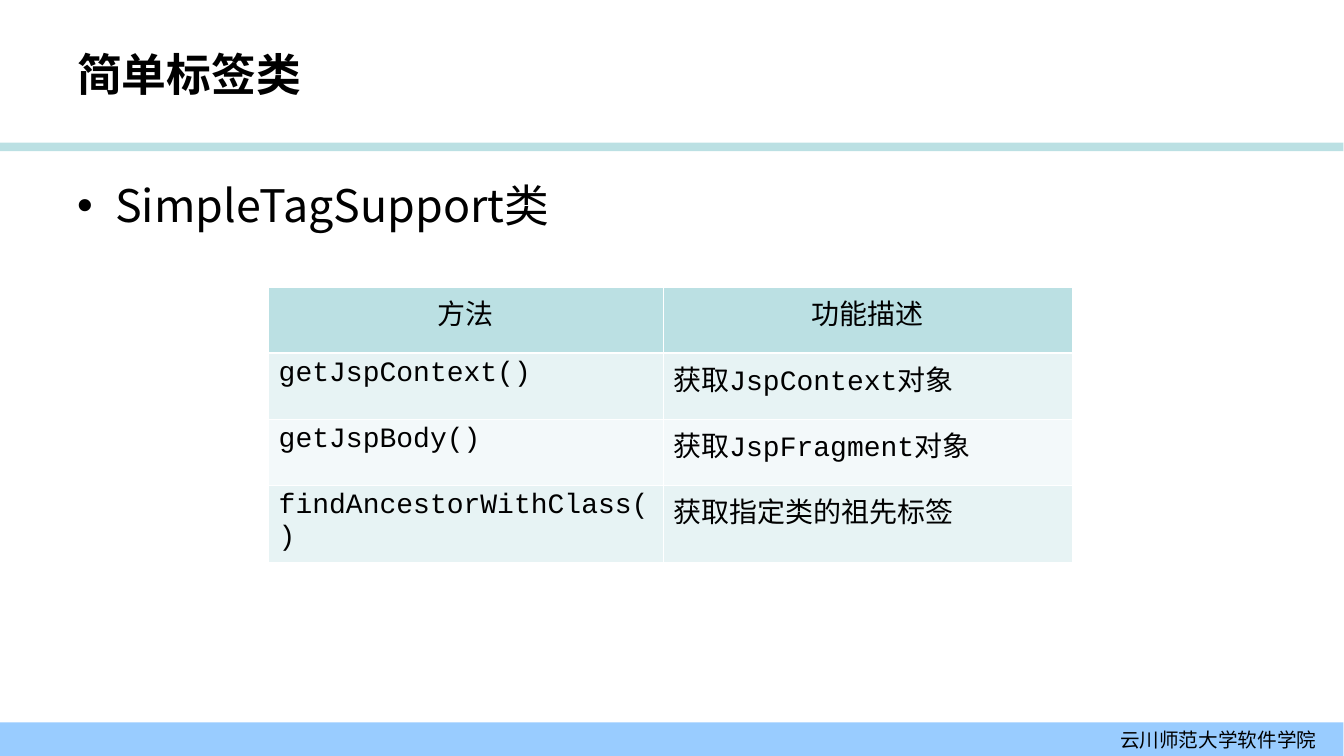
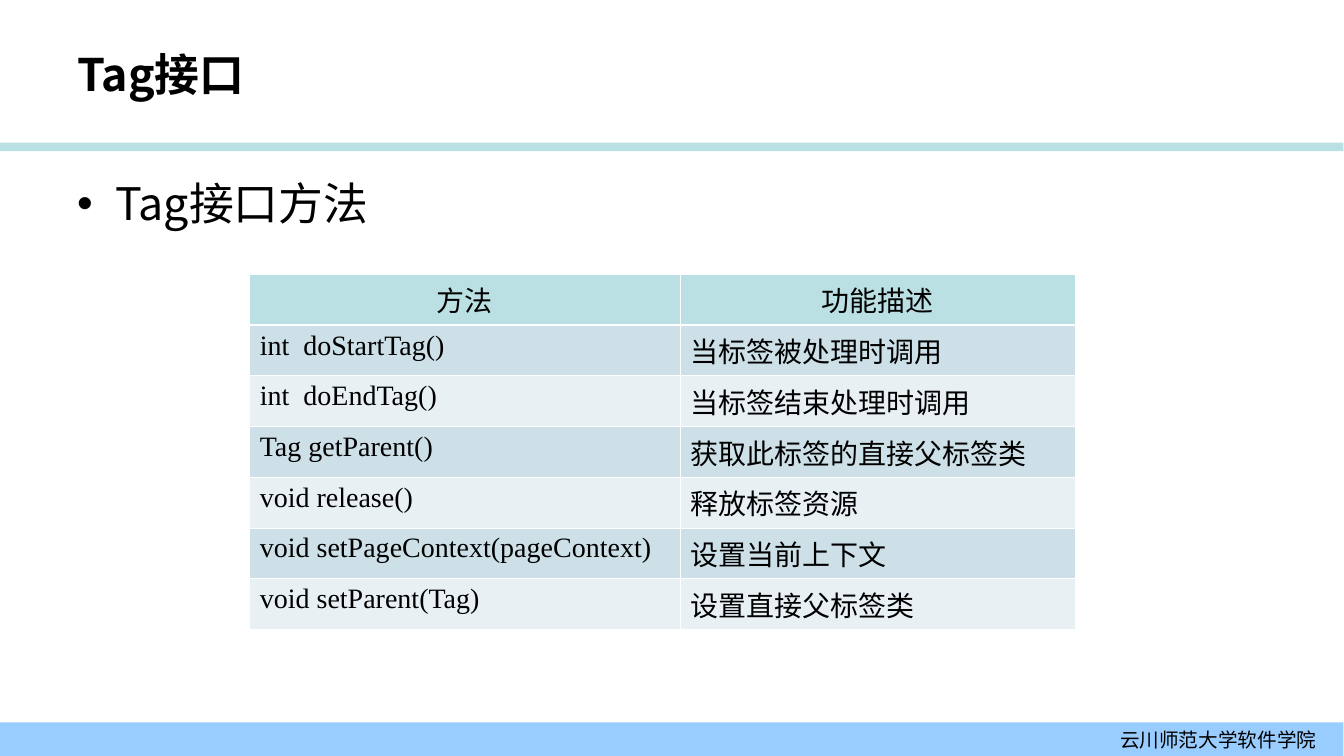
from dataclasses import dataclass

from lxml import etree
from pptx import Presentation
from pptx.dml.color import RGBColor
from pptx.dml.fill import FillFormat
from pptx.enum.shapes import MSO_SHAPE
from pptx.enum.text import MSO_ANCHOR, PP_ALIGN
from pptx.oxml.ns import qn
from pptx.slide import Slide
from pptx.table import _Cell
from pptx.text.text import TextFrame, _Paragraph
from pptx.util import Inches, Pt

RECT = MSO_SHAPE.RECTANGLE
MIDDLE, TOP = MSO_ANCHOR.MIDDLE, MSO_ANCHOR.TOP
LEFT, CENTER, RIGHT = PP_ALIGN.LEFT, PP_ALIGN.CENTER, PP_ALIGN.RIGHT

UNIT = 12  # grid cells per inch: 160 columns by 90 rows
COLS = 160
MARGIN = 8
SANS, MONO, SERIF, LATO = "Noto Sans CJK SC", "Courier New", "Times New Roman", "Lato"
BLACK, WHITE, TEAL, BLUE = "000000", "FFFFFF", "BBE0E3", "99CCFF"
THIN, THICK = 0.45, 1.47
FOOTER = "云川师范大学软件学院"
HEADS = ("方法", "功能描述")


@dataclass(frozen=True)
class Box:
    left: float
    top: float
    width: float
    height: float

    def place(self) -> tuple[int, ...]:
        return tuple(cells(n) for n in (self.left, self.top, self.width, self.height))


@dataclass(frozen=True)
class Grid:
    left: float
    top: float
    widths: tuple[float, ...]
    heights: tuple[float, ...]
    fonts: tuple[str, ...]
    head: str
    bands: tuple[str, str]
    rows: tuple[tuple[str, str], ...]


@dataclass(frozen=True)
class Page:
    title: str
    point: str
    body: Box
    spacing: float
    grid: Grid


PAGES = (
    Page("简单标签类", "SimpleTagSupport类", Box(MARGIN, 20.6, 126, 38.4), 1.0,
         Grid(32, 34.2, (47, 48.7), (7.8, 7.9, 7.85, 9.2), (MONO, MONO), MONO,
              ("E7F3F4", "F3F9FA"), (
                  ("getJspContext()", "获取JspContext对象"),
                  ("getJspBody()", "获取JspFragment对象"),
                  ("findAncestorWithClass()", "获取指定类的祖先标签")))),
    Page("Tag接口", "Tag接口方法", Box(MARGIN, 21, 125, 64), 0.9,
         Grid(29.75, 32.65, (51.25, 47.1), (6.04,) * 7, (SERIF, LATO), LATO,
              ("CDE0E8", "E8F0F4"), (
                  ("int  doStartTag()", "当标签被处理时调用"),
                  ("int  doEndTag()", "当标签结束处理时调用"),
                  ("Tag getParent()", "获取此标签的直接父标签类"),
                  ("void release()", "释放标签资源"),
                  ("void setPageContext(pageContext)", "设置当前上下文"),
                  ("void setParent(Tag)", "设置直接父标签类")))),
)


def cells(count: float) -> int:
    return Inches(count / UNIT)


def color(code: str) -> RGBColor:
    return RGBColor.from_string(code)


def paint(fill: FillFormat, code: str) -> None:
    fill.solid()
    fill.fore_color.rgb = color(code)


def write(frame: TextFrame, text: str, size: int, face: str = SANS,
          bold: bool = False, align: PP_ALIGN = LEFT) -> _Paragraph:
    para = frame.paragraphs[0]
    para.alignment = align
    run = para.add_run()
    run.text = text
    looks = {"size": Pt(size), "name": face, "bold": bold}
    for name, value in looks.items():
        setattr(run.font, name, value)
    run.font.color.rgb = color(BLACK)
    etree.SubElement(run._r.get_or_add_rPr(), qn("a:ea"), typeface=SANS)
    return para


def band(slide: Slide, box: Box, code: str) -> TextFrame:
    shape = slide.shapes.add_shape(RECT, *box.place())
    shape.shadow.inherit = False
    paint(shape.fill, code)
    shape.line.fill.background()
    return shape.text_frame


def label(slide: Slide, box: Box, anchor: MSO_ANCHOR) -> TextFrame:
    frame = slide.shapes.add_textbox(*box.place()).text_frame
    frame.word_wrap = True
    frame.vertical_anchor = anchor
    return frame


def dot(para: _Paragraph) -> None:
    """Give the paragraph a round bullet and a hanging indent."""
    props = para._p.get_or_add_pPr()
    hang = Inches(0.38)
    props.set("marL", str(hang))
    props.set("indent", str(-hang))
    tint = etree.SubElement(props, qn("a:buClr"))
    etree.SubElement(tint, qn("a:srgbClr"), val=BLACK)
    etree.SubElement(props, qn("a:buFont"), typeface="Arial")
    etree.SubElement(props, qn("a:buChar"), char="•")


def edge(cell: _Cell, row: int) -> None:
    """Draw white borders, thicker between the heading and the first row."""
    sides = {"L": THIN, "R": THIN,
             "T": THICK if row == 1 else THIN,
             "B": THICK if row == 0 else THIN}
    props = cell._tc.get_or_add_tcPr()
    for side, width in sides.items():
        line = etree.SubElement(props, qn(f"a:ln{side}"), w=str(Pt(width)))
        fill = etree.SubElement(line, qn("a:solidFill"))
        etree.SubElement(fill, qn("a:srgbClr"), val=WHITE)


def tabulate(slide: Slide, grid: Grid) -> None:
    rows = (HEADS, *grid.rows)
    box = Box(grid.left, grid.top, sum(grid.widths), sum(grid.heights))
    table = slide.shapes.add_table(len(rows), len(HEADS), *box.place()).table
    table.first_row = table.horz_banding = False
    for col, width in zip(table.columns, grid.widths):
        col.width = cells(width)
    for r, (texts, height) in enumerate(zip(rows, grid.heights)):
        table.rows[r].height = cells(height)
        for c, text in enumerate(texts):
            cell = table.cell(r, c)
            edge(cell, r)
            paint(cell.fill, grid.bands[(r - 1) % 2] if r else TEAL)
            write(cell.text_frame, text, 20, grid.fonts[c] if r else grid.head,
                  align=LEFT if r else CENTER)


def base(slide: Slide, title: str) -> None:
    """Draw the bands, footer and title that all slides share."""
    paint(slide.background.fill, WHITE)
    band(slide, Box(0, 17, COLS, 1), TEAL)
    foot = band(slide, Box(0, 86, COLS, 4), BLUE)
    foot.vertical_anchor = MIDDLE
    foot.margin_right = cells(3.2)
    write(foot, FOOTER, 14, align=RIGHT)
    write(label(slide, Box(MARGIN, 3.6, 128, 10.4), MIDDLE), title, 32, bold=True)


def main() -> None:
    deck = Presentation()
    deck.slide_width, deck.slide_height = Inches(13.34), Inches(7.5)
    for page in PAGES:
        slide = deck.slides.add_slide(deck.slide_layouts[6])
        base(slide, page.title)
        point = write(label(slide, page.body, TOP), page.point, 32)
        point.space_before = Pt(8)
        point.line_spacing = page.spacing
        dot(point)
        tabulate(slide, page.grid)
    deck.save("out.pptx")


if __name__ == "__main__":
    main()
